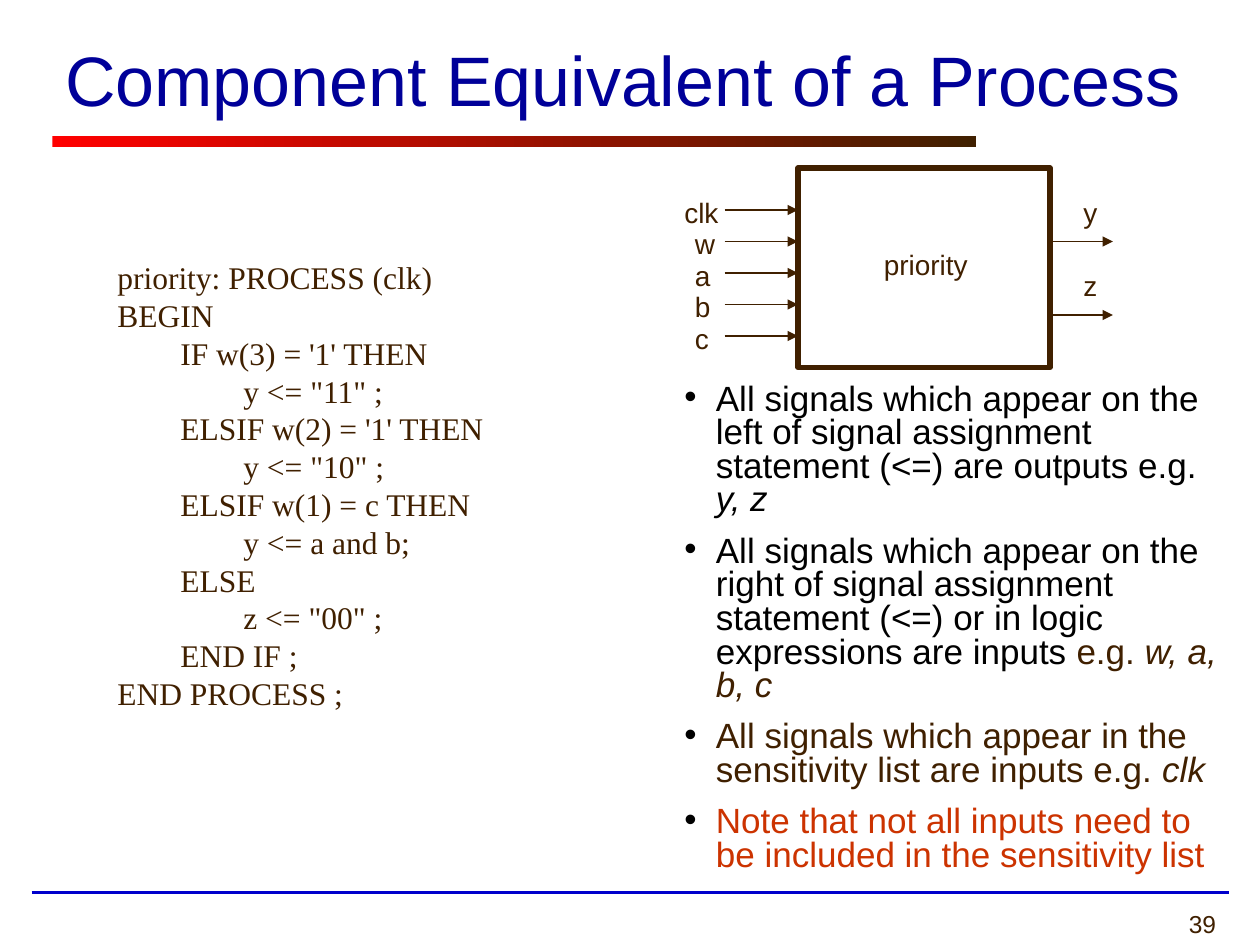
from pptx import Presentation
from pptx.dml.color import RGBColor as RGB
from pptx.enum.shapes import MSO_CONNECTOR as CONN, MSO_SHAPE as SHAPE
from pptx.enum.text import MSO_ANCHOR as ANCHOR, PP_ALIGN as ALIGN
from pptx.oxml.ns import qn
from pptx.util import Inches, Pt
from lxml.etree import SubElement

C = {"brown": "402000", "navy": "000099", "blue": "0000CC", "red": "FF0000",
     "rust": "CC3300", "black": "000000"}

prs = Presentation()
prs.slide_width, prs.slide_height = Inches(10), Inches(7.5)
col, row = prs.slide_width // 120, prs.slide_height // 90
s = prs.slides.add_slide(prs.slide_layouts[5])


def add_text(x, y, w, h):
    sp = s.shapes.add_textbox(int(x * col), int(y * row), int(w * col), int(h * row))
    sp.text_frame.word_wrap = True
    return sp.text_frame


def add_run(p, text, size, color="brown", font="Arial", italic=False):
    r = p.add_run()
    r.text = text
    r.font.size, r.font.name, r.font.italic = Pt(size), font, italic
    r.font.color.rgb = RGB.from_string(C[color])


title = s.shapes.title
title.left, title.top, title.width, title.height = 5 * col, 0, 110 * col, 15 * row
tf = title.text_frame
tf.vertical_anchor = ANCHOR.MIDDLE
p = tf.paragraphs[0]
p.alignment = ALIGN.LEFT
add_run(p, "Component Equivalent of a Process", 40, "navy")

bar = s.shapes.add_shape(SHAPE.RECTANGLE, 5 * col, 13 * row, 88 * col, row)
bar.shadow.inherit = False
bar.line.fill.background()
bar.fill.gradient()
bar.fill.gradient_angle = 0
for stop, name, pos in zip(bar.fill.gradient_stops, ("red", "brown"), (0, 1)):
    stop.color.rgb = RGB.from_string(C[name])
    stop.position = pos

p = add_text(91, 86, 26, 4).paragraphs[0]
p.alignment = ALIGN.RIGHT
add_run(p, "39", 14)

code = [
    (1, "priority: PROCESS (clk)"),
    (1, "BEGIN"),
    (2, "IF w(3) = '1' THEN"),
    (3, 'y <= "11" ;'),
    (2, "ELSIF w(2) = '1' THEN"),
    (3, 'y <= "10" ;'),
    (2, "ELSIF w(1) = c THEN"),
    (3, "y <= a and b;"),
    (2, "ELSE"),
    (3, 'z <= "00" ;'),
    (2, "END IF ;"),
    (1, "END PROCESS ;"),
]
tf = add_text(4, 24, 54, 44.4)
for i, (level, text) in enumerate(code):
    p = tf.add_paragraph() if i else tf.paragraphs[0]
    p.line_spacing = Pt(21.6)
    p._p.get_or_add_pPr().set("marL", str(level * 6 * col))
    add_run(p, text, 18, font="Times New Roman")

block = s.shapes.add_shape(SHAPE.RECTANGLE, 76 * col, 16 * row, 24 * col, 19 * row)
block.shadow.inherit = False
block.fill.background()
block.line.color.rgb = RGB.from_string(C["brown"])
block.line.width = Pt(3)

inputs = [20 + 3 * i for i in range(5)]
outputs = [23, 30]
lines = [(69, 76, y, "brown", 0.75, True) for y in inputs]
lines += [(100, 106, y, "brown", 0.75, True) for y in outputs]
lines += [(3, 117, 85, "blue", 2.25, False)]
for x1, x2, y, color, width, arrow in lines:
    line = s.shapes.add_connector(CONN.STRAIGHT, x1 * col, y * row, x2 * col, y * row)
    line.line.color.rgb = RGB.from_string(C[color])
    line.line.width = Pt(width)
    if arrow:
        SubElement(line.line._get_or_add_ln(), qn("a:tailEnd"), type="triangle")
    SubElement(line._element.spPr, qn("a:effectLst"))

labels = [("clk", 52, inputs[0] - 2, 19)]
labels += [(t, 53, y - 2, 16) for t, y in zip("wabc", inputs[1:])]
labels += [(t, 90, y - 5, 16) for t, y in zip("yz", outputs)]
labels += [("priority", 71, 23, 23)]
for text, x, y, w in labels:
    p = add_text(x, y, w, 4.4).paragraphs[0]
    p._p.get_or_add_pPr().set("marL", str(15 * col))
    p._p.pPr.set("indent", str(-3 * col))
    add_run(p, text, 16)

bullets = [
    [("All signals which appear on the left of signal assignment statement (<=) "
      "are outputs e.g. ", "black", False), ("y, z", "black", True)],
    [("All signals which appear on the right of signal assignment statement (<=) "
      "or in logic expressions are inputs ", "black", False),
     ("e.g. ", "brown", False), ("w, a, b, c", "brown", True)],
    [("All signals which appear in the sensitivity list are inputs e.g. ", "brown", False),
     ("clk", "brown", True)],
    [("Note that not all inputs need to be included in the sensitivity list", "rust", False)],
]
tf = add_text(52, 36, 66, 10)
for i, runs in enumerate(bullets):
    p = tf.add_paragraph() if i else tf.paragraphs[0]
    p.line_spacing = 0.8
    p.space_before = Pt(10 if i else 0)
    pPr = p._p.get_or_add_pPr()
    pPr.set("marL", str(15 * col))
    pPr.set("indent", str(-3 * col))
    SubElement(SubElement(pPr, qn("a:buClr")), qn("a:srgbClr"), val=C["black"])
    SubElement(pPr, qn("a:buFont"), typeface="Arial")
    SubElement(pPr, qn("a:buChar"), char="•")
    for text, color, italic in runs:
        add_run(p, text, 20, color, italic=italic)

prs.save("out.pptx")
